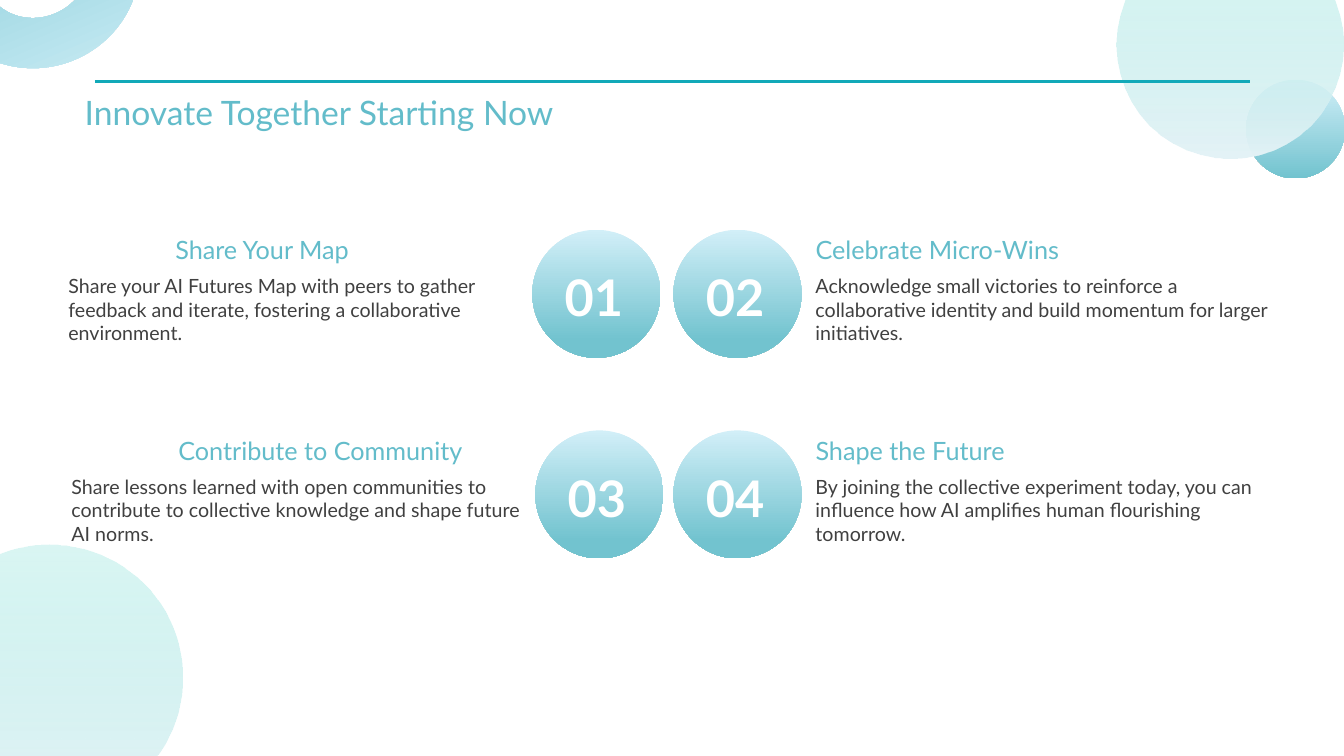
from dataclasses import dataclass
from typing import Optional

from lxml.etree import SubElement
from pptx import Presentation
from pptx.dml.color import RGBColor
from pptx.enum.shapes import MSO_CONNECTOR, MSO_SHAPE as Preset
from pptx.enum.text import MSO_ANCHOR as Anchor, MSO_AUTO_SIZE as AutoSize, PP_ALIGN as Align
from pptx.oxml.ns import qn
from pptx.util import Emu, Pt

PX = 9144  # EMU per px, 100 px to the inch
FONT = "Lato"
COLORS = {
    "title": "63BCCA",
    "body": "404040",
    "number": "FFFFFF",
    "rule": "11A9B8",
    "sky": "D2EFF8",
    "teal": "72C3CF",
    "mint": "A8EAE4",
    "mist": "E4F3F7",
}


@dataclass(frozen=True)
class Stop:
    position: int
    color: str
    opacity: int = 100


@dataclass(frozen=True)
class Ornament:
    left: int
    top: int
    width: int
    height: int
    stops: tuple[Stop, ...]
    preset: Preset = Preset.OVAL
    rotation: int = 0
    adjustments: tuple[float, ...] = ()


@dataclass(frozen=True)
class Step:
    number: str
    left: int
    row: int
    on_left: bool
    heading: str
    body: str


TEAL_FADE = (Stop(0, "sky"), Stop(100, "teal"))
MINT_FADE = (Stop(0, "mint", 42), Stop(100, "mist"))
NUMBER_FADE = (Stop(0, "sky"), Stop(86, "teal"), Stop(100, "teal"))

ORNAMENTS = [
    Ornament(1236, 79, 98, 98, TEAL_FADE),
    Ornament(-68, -132, 207, 199, TEAL_FADE, Preset.BLOCK_ARC, 157, (108, 0, 0.25)),
    Ornament(1107, -69, 226, 226, MINT_FADE),
    Ornament(-83, 540, 264, 264, MINT_FADE),
]

STEPS = [
    Step("01", 528, 0, True, "Share Your Map",
         "Share your AI Futures Map with peers to gather feedback and iterate, "
         "fostering a collaborative environment."),
    Step("02", 668, 0, False, "Celebrate Micro-Wins",
         "Acknowledge small victories to reinforce a collaborative identity "
         "and build momentum for larger initiatives."),
    Step("03", 531, 1, True, "Contribute to Community",
         "Share lessons learned with open communities to contribute to "
         "collective knowledge and shape future AI norms."),
    Step("04", 668, 1, False, "Shape the Future",
         "By joining the collective experiment today, you can influence how "
         "AI amplifies human flourishing tomorrow."),
]

FIRST_ROW, ROW_PITCH = 228, 199
CIRCLE = 127
HEADING_WIDTH, HEADING_HEIGHT = 392, 37
BODY_WIDTH, BODY_HEIGHT = 470, 132
BODY_DROP = 39
RIGHT_OFFSET = 131
LEFT_HEADING_OFFSET = -364


def px(*lengths: int) -> list[Emu]:
    return [Emu(length * PX) for length in lengths]


def rgb(name: str) -> RGBColor:
    return RGBColor.from_string(COLORS[name])


def write(frame, text: str, size: int, color: str,
          bold: Optional[bool] = None, align: Align = Align.LEFT) -> None:
    frame.word_wrap = True
    para = frame.paragraphs[0]
    para.alignment = align
    span = para.add_run()
    span.text = text
    span.font.name = FONT
    span.font.size = Pt(size)
    span.font.bold = bold
    span.font.color.rgb = rgb(color)


def fill_downward(shape, stops: tuple[Stop, ...]) -> None:
    """Fill with a top-to-bottom gradient of any number of stops."""
    shape.fill.gradient()
    shape.fill.gradient_angle = 270
    stop_list = shape.element.spPr.find(qn("a:gradFill")).find(qn("a:gsLst"))
    stop_list.clear()
    for stop in stops:
        mark = SubElement(stop_list, qn("a:gs"), pos=str(stop.position * 1000))
        color = SubElement(mark, qn("a:srgbClr"), val=COLORS[stop.color])
        if stop.opacity < 100:
            SubElement(color, qn("a:alpha"), val=str(stop.opacity * 1000))


def add_ornament(page, ornament: Ornament):
    shape = page.shapes.add_shape(
        ornament.preset,
        *px(ornament.left, ornament.top, ornament.width, ornament.height))
    for index, value in enumerate(ornament.adjustments):
        shape.adjustments[index] = value
    shape.rotation = ornament.rotation
    shape.shadow.inherit = False
    shape.line.fill.background()
    fill_downward(shape, ornament.stops)
    return shape


def add_rule(page) -> None:
    rule = page.shapes.add_connector(MSO_CONNECTOR.STRAIGHT, *px(94, 81, 1240, 81))
    rule.line.color.rgb = rgb("rule")
    rule.line.width = Pt(2.25)
    SubElement(rule.element.spPr, qn("a:effectLst"))


def set_title(page, text: str) -> None:
    title = page.shapes.title
    title.left, title.top, title.width, title.height = px(74, 86, 1139, 40)
    frame = title.text_frame
    frame.vertical_anchor = Anchor.TOP
    frame.auto_size = AutoSize.SHAPE_TO_FIT_TEXT
    write(frame, text, 24, "title")


def add_step(page, step: Step) -> None:
    top = FIRST_ROW + step.row * ROW_PITCH
    circle = add_ornament(page, Ornament(step.left, top, CIRCLE, CIRCLE, NUMBER_FADE))
    frame = circle.text_frame
    frame.margin_left, frame.margin_top, frame.margin_right, frame.margin_bottom = px(5, 10, 10, 5)
    frame.vertical_anchor = Anchor.MIDDLE
    write(frame, step.number, 36, "number", True, Align.CENTER)

    heading_left = step.left + (LEFT_HEADING_OFFSET if step.on_left else RIGHT_OFFSET)
    body_left = step.left + (-BODY_WIDTH if step.on_left else RIGHT_OFFSET)
    heading = page.shapes.add_textbox(*px(heading_left, top, HEADING_WIDTH, HEADING_HEIGHT))
    write(heading.text_frame, step.heading, 18, "title")
    body = page.shapes.add_textbox(*px(body_left, top + BODY_DROP, BODY_WIDTH, BODY_HEIGHT))
    write(body.text_frame, step.body, 14, "body")


def main() -> None:
    deck = Presentation()
    deck.slide_width, deck.slide_height = px(1333, 750)
    page = deck.slides.add_slide(deck.slide_layouts.get_by_name("Title Only"))
    set_title(page, "Innovate Together Starting Now")
    for ornament in ORNAMENTS:
        add_ornament(page, ornament)
    add_rule(page)
    for step in STEPS:
        add_step(page, step)
    deck.save("out.pptx")


if __name__ == "__main__":
    main()
